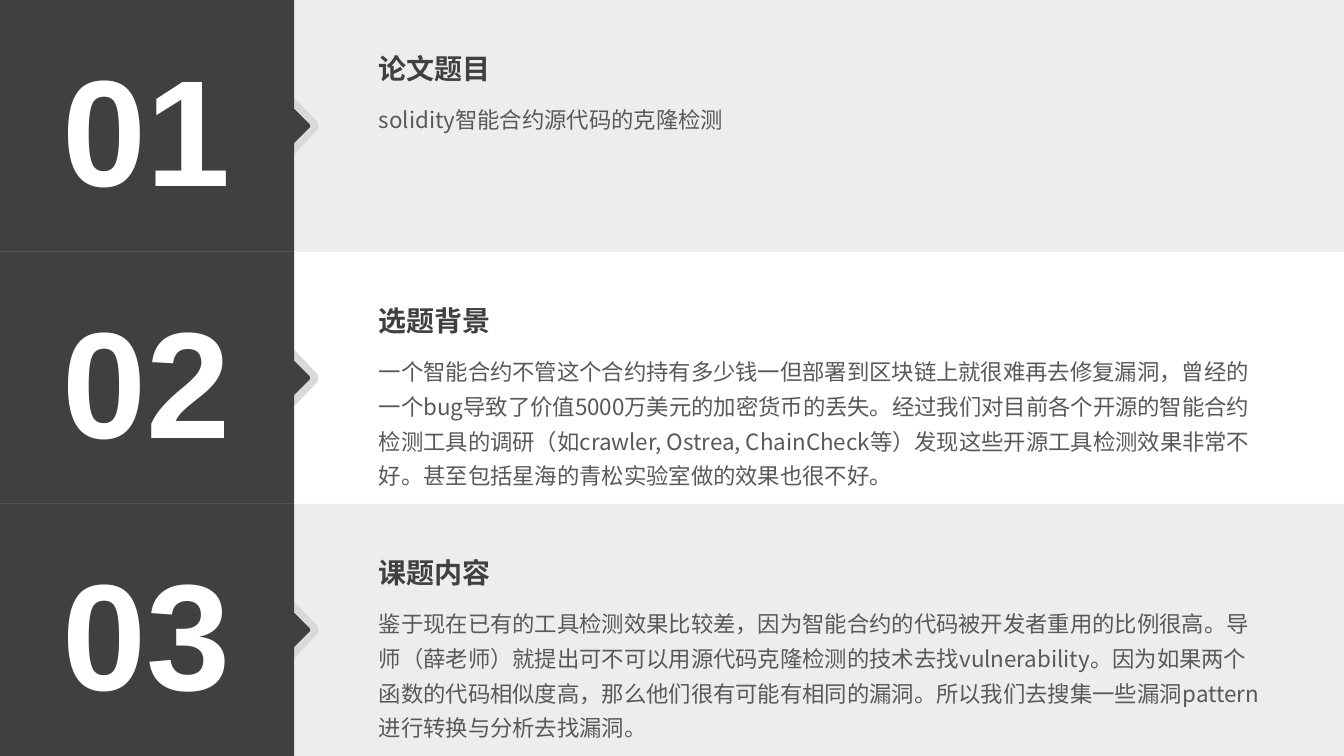
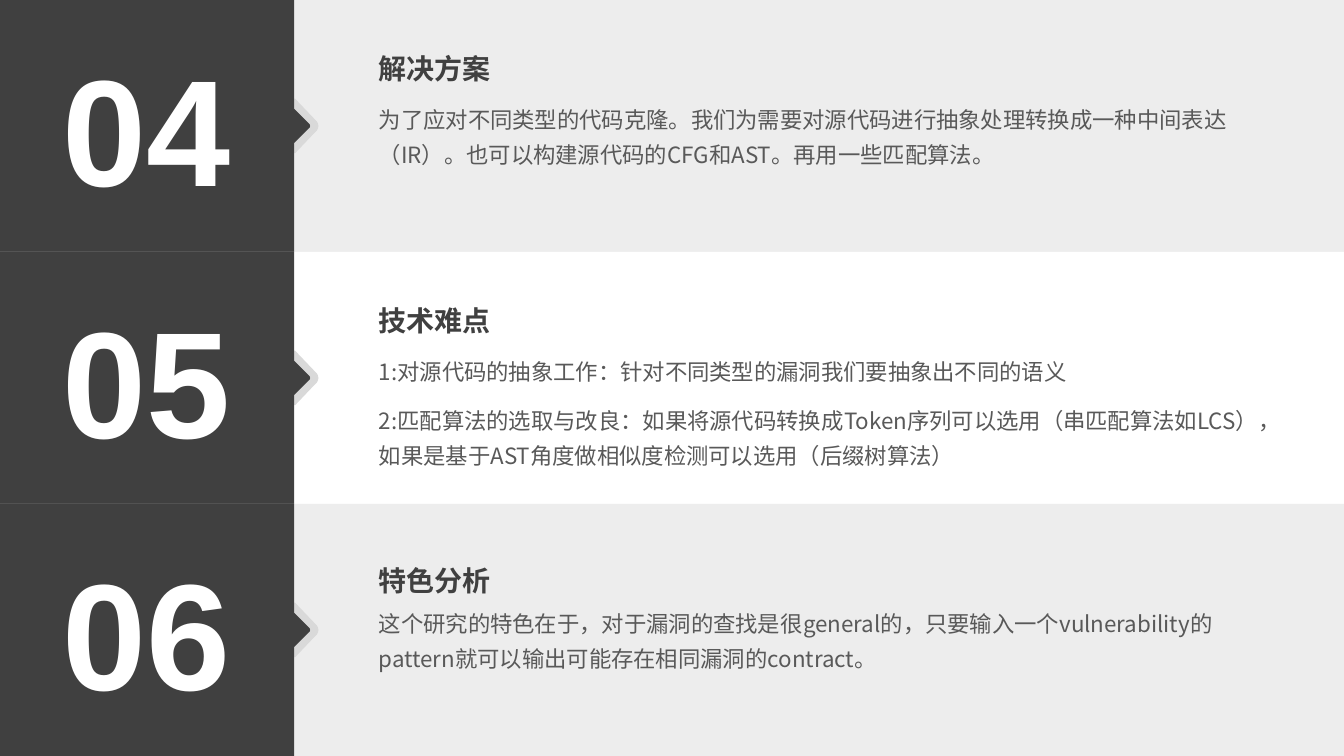
from dataclasses import dataclass

from lxml import etree
from pptx import Presentation
from pptx.dml.color import RGBColor
from pptx.enum.shapes import MSO_SHAPE
from pptx.enum.text import MSO_ANCHOR, MSO_AUTO_SIZE, PP_ALIGN
from pptx.oxml.ns import qn
from pptx.util import Inches, Pt

RECTANGLE = MSO_SHAPE.RECTANGLE
TOP, MIDDLE = MSO_ANCHOR.TOP, MSO_ANCHOR.MIDDLE
LEFT, CENTER = PP_ALIGN.LEFT, PP_ALIGN.CENTER
NO_AUTOFIT = MSO_AUTO_SIZE.NONE

DARK, GREY_TEXT, NOTCH_GREY = "404040", "595959", "D9D9D9"
BAND_GREY, WHITE = "EDEDED", "FFFFFF"
LATIN, CJK = "Arial", "Noto Sans CJK SC"

SLIDE_WIDTH, SLIDE_HEIGHT = 13.34, 7.5
SECTIONS_PER_SLIDE = 3
BAND_HEIGHT = SLIDE_HEIGHT / SECTIONS_PER_SLIDE
PANEL_WIDTH = 2.92
TEXT_LEFT, TEXT_WIDTH = 3.65, 8.95
CURVE_STEPS = 8

# Placeholders of the Comparison layout; the third body is a text box.
HEADING_IDS = (0, 1, 3)
BODY_IDS = (2, 4, None)

Point = tuple[float, float]


@dataclass(frozen=True)
class Section:
    heading: str
    body: tuple[str, ...]
    heading_offset: float = 0.47
    body_height: float = 1.06


@dataclass(frozen=True)
class TextStyle:
    font: str
    size: float
    color: str
    bold: bool = False
    align: PP_ALIGN = LEFT
    anchor: MSO_ANCHOR = TOP
    insets: tuple[float, float, float, float] = (0, 0, 0, 0)
    line_spacing: float = 1.0
    space_after: float = 0


NUMBER_STYLE = TextStyle(LATIN, 108, WHITE, True, CENTER, MIDDLE)
HEADING_STYLE = TextStyle(LATIN, 20, DARK, True, insets=(0.11, 0.04, 0.08, 0.04))
BODY_STYLE = TextStyle(CJK, 16, GREY_TEXT, insets=(0.11, 0, 0.09, 0),
                       line_spacing=1.3, space_after=10)

SLIDES = (
    (
        Section("论文题目", ("solidity智能合约源代码的克隆检测",)),
        Section("选题背景", (
            "一个智能合约不管这个合约持有多少钱一但部署到区块链上就很难再去修复漏洞，"
            "曾经的一个bug导致了价值5000万美元的加密货币的丢失。"
            "经过我们对目前各个开源的智能合约检测工具的调研"
            "（如crawler, Ostrea, ChainCheck等）发现这些开源工具检测效果非常不好。"
            "甚至包括星海的青松实验室做的效果也很不好。",)),
        Section("课题内容", (
            "鉴于现在已有的工具检测效果比较差，因为智能合约的代码被开发者重用的比例很高。"
            "导师（薛老师）就提出可不可以用源代码克隆检测的技术去找vulnerability。"
            "因为如果两个函数的代码相似度高，那么他们很有可能有相同的漏洞。"
            "所以我们去搜集一些漏洞pattern进行转换与分析去找漏洞。",)),
    ),
    (
        Section("解决方案", (
            "为了应对不同类型的代码克隆。我们为需要对源代码进行抽象处理转换成一种中间表达"
            "（IR）。也可以构建源代码的CFG和AST。再用一些匹配算法。",)),
        Section("技术难点", (
            "1:对源代码的抽象工作：针对不同类型的漏洞我们要抽象出不同的语义",
            "2:匹配算法的选取与改良：如果将源代码转换成Token序列可以选用"
            "（串匹配算法如LCS），如果是基于AST角度做相似度检测可以选用（后缀树算法）"),
            body_height=1.22),
        Section("特色分析", (
            "这个研究的特色在于，对于漏洞的查找是很general的，"
            "只要输入一个vulnerability的pattern就可以输出可能存在相同漏洞的contract。",),
            heading_offset=0.55),
    ),
)


def paint(shape, color: str) -> None:
    shape.shadow.inherit = False
    shape.fill.solid()
    shape.fill.fore_color.rgb = RGBColor.from_string(color)
    shape.line.fill.background()


def rounded_tip(x: float, tip_x: float, middle: float, half: float) -> list[Point]:
    """Points of a cubic curve that rounds the tip of a right-pointing notch."""
    controls = ((x, middle - half), (tip_x, middle - half / 2),
                (tip_x, middle + half / 2), (x, middle + half))
    points = []
    for step in range(CURVE_STEPS + 1):
        t = step / CURVE_STEPS
        weights = ((1 - t) ** 3, 3 * t * (1 - t) ** 2, 3 * t ** 2 * (1 - t), t ** 3)
        points.append((sum(w * c[0] for w, c in zip(weights, controls)),
                       sum(w * c[1] for w, c in zip(weights, controls))))
    return points


def add_outline(slide, points: list[Point], color: str) -> None:
    corners = [(Inches(x), Inches(y)) for x, y in points]
    builder = slide.shapes.build_freeform(*corners[0])
    builder.add_line_segments(corners[1:], close=True)
    paint(builder.convert_to_shape(), color)


def add_band(slide, top: float, color: str) -> None:
    band = slide.shapes.add_shape(RECTANGLE, 0, Inches(top),
                                  Inches(SLIDE_WIDTH), Inches(BAND_HEIGHT))
    paint(band, color)


def add_number_panel(slide, top: float) -> None:
    """Draw the dark panel with its pointer and the paler notch behind it."""
    middle, bottom = top + BAND_HEIGHT / 2, top + BAND_HEIGHT
    notch = [(PANEL_WIDTH, middle - 0.27), (2.93, middle - 0.27),
             *rounded_tip(3.13, 3.17, middle, 0.06),
             (2.93, middle + 0.27), (PANEL_WIDTH, middle + 0.27)]
    panel = [(0, top), (PANEL_WIDTH, top), (PANEL_WIDTH, middle - 0.17),
             *rounded_tip(3.07, 3.08, middle, 0.02),
             (PANEL_WIDTH, middle + 0.17), (PANEL_WIDTH, bottom), (0, bottom)]
    add_outline(slide, notch, NOTCH_GREY)
    add_outline(slide, panel, DARK)


def add_text(slide, lines: tuple[str, ...], box: tuple[float, float, float, float],
             style: TextStyle, placeholder_id: int | None = None) -> None:
    """Write lines into the given placeholder, or a text box if there is none."""
    left, top, width, height = map(Inches, box)
    if placeholder_id is None:
        holder = slide.shapes.add_textbox(left, top, width, height)
    else:
        holder = next(p for p in slide.placeholders
                      if p.placeholder_format.idx == placeholder_id)
        holder.left, holder.top, holder.width, holder.height = left, top, width, height
        holder.element.getparent().append(holder.element)  # in front of the bands
    frame = holder.text_frame
    frame.text = "\n".join(lines)
    frame.word_wrap = True
    frame.auto_size = NO_AUTOFIT
    frame.vertical_anchor = style.anchor
    (frame.margin_left, frame.margin_top,
     frame.margin_right, frame.margin_bottom) = map(Inches, style.insets)
    for paragraph in frame.paragraphs:
        format_paragraph(paragraph, style)


def format_paragraph(paragraph, style: TextStyle) -> None:
    paragraph.alignment = style.align
    paragraph.line_spacing = style.line_spacing
    paragraph.space_before = Pt(0)
    paragraph.space_after = Pt(style.space_after)
    font = paragraph.font
    font.name, font.size, font.bold = style.font, Pt(style.size), style.bold
    font.color.rgb = RGBColor.from_string(style.color)
    properties = paragraph._p.get_or_add_pPr()
    properties.set("marL", "0")
    properties.set("indent", "0")
    defaults = properties.find(qn("a:defRPr"))
    defaults.addprevious(etree.Element(qn("a:buNone")))
    east_asian = etree.Element(qn("a:ea"), typeface=CJK)
    defaults.find(qn("a:latin")).addnext(east_asian)


def add_section(slide, section: Section, row: int, number: int) -> None:
    top = row * BAND_HEIGHT
    add_band(slide, top, WHITE if row % 2 else BAND_GREY)
    add_number_panel(slide, top)
    add_text(slide, (f"{number:02d}",), (0.22, top + 0.31, 2.47, 1.88), NUMBER_STYLE)
    add_text(slide, (section.heading,),
             (TEXT_LEFT, top + section.heading_offset, TEXT_WIDTH, 0.42),
             HEADING_STYLE, HEADING_IDS[row])
    add_text(slide, section.body,
             (TEXT_LEFT, top + 0.97, TEXT_WIDTH, section.body_height),
             BODY_STYLE, BODY_IDS[row])


def main() -> None:
    presentation = Presentation()
    presentation.slide_width = Inches(SLIDE_WIDTH)
    presentation.slide_height = Inches(SLIDE_HEIGHT)
    layout = presentation.slide_layouts.get_by_name("Comparison")
    for page, sections in enumerate(SLIDES):
        slide = presentation.slides.add_slide(layout)
        for row, section in enumerate(sections):
            add_section(slide, section, row, page * SECTIONS_PER_SLIDE + row + 1)
    presentation.save("out.pptx")


if __name__ == "__main__":
    main()
